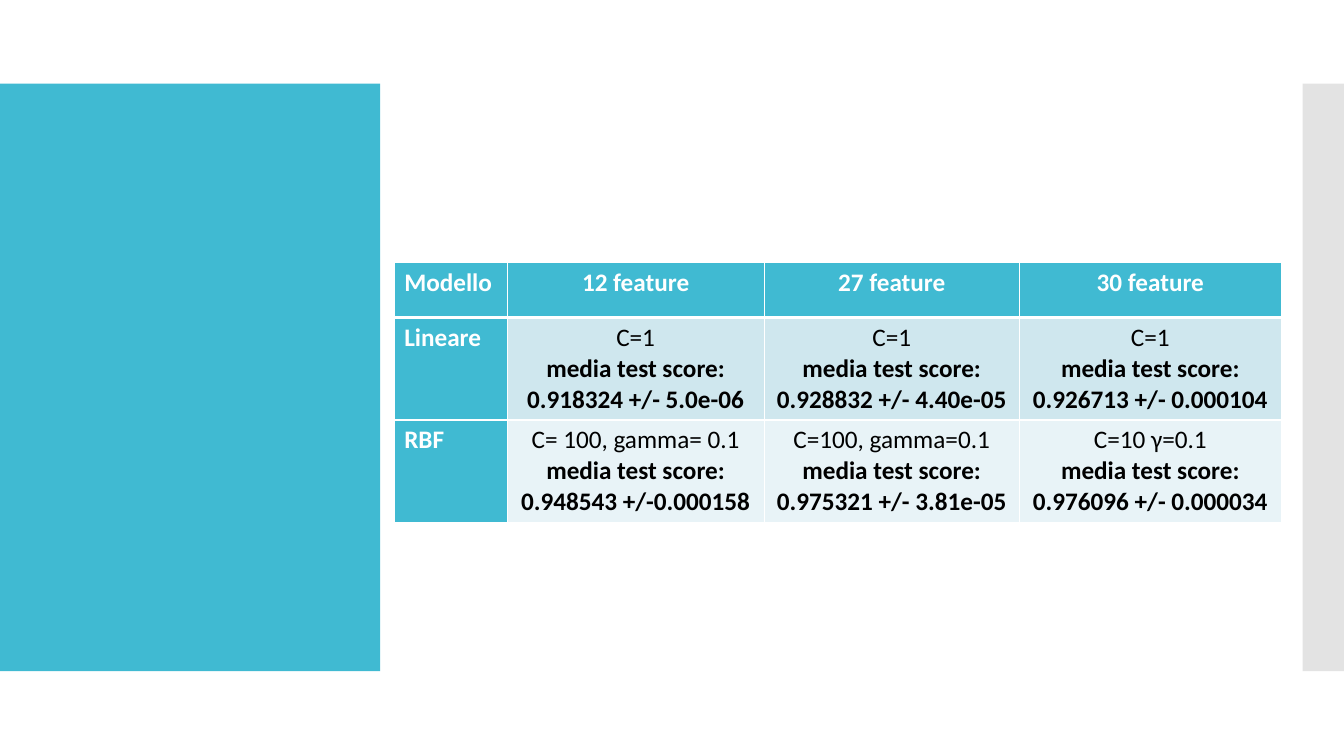
from dataclasses import dataclass

from lxml import etree
from pptx import Presentation
from pptx.dml.color import RGBColor
from pptx.enum.shapes import MSO_SHAPE
from pptx.enum.text import PP_ALIGN
from pptx.oxml.ns import qn
from pptx.util import Inches, Pt

RECT = MSO_SHAPE.RECTANGLE
LEFT, CENTER = PP_ALIGN.LEFT, PP_ALIGN.CENTER
BLANK_LAYOUT = 6


@dataclass(frozen=True)
class Theme:
    accent: str = "40BAD2"
    grey: str = "C8C8C8"
    white: str = "FFFFFF"
    black: str = "000000"
    bands: tuple = ("CFE7EE", "E8F3F7")
    font: str = "Calibri"
    size: int = 18


theme = Theme()


def add_panel(slide, left, width, color):
    sp = slide.shapes.add_shape(RECT, Inches(left), Inches(0.83), Inches(width), Inches(5.83))
    sp.shadow.inherit = False
    sp.fill.solid()
    sp.fill.fore_color.rgb = RGBColor.from_string(color)
    sp.line.fill.background()
    return sp


def set_borders(cell, bottom):
    """Draw white cell edges, 1 pt wide except for the given bottom width."""
    tc_pr = cell._tc.get_or_add_tcPr()
    for side, width in (("L", 1), ("R", 1), ("T", 1), ("B", bottom)):
        ln = etree.SubElement(tc_pr, qn(f"a:ln{side}"), w=str(Pt(width)))
        fill = etree.SubElement(ln, qn("a:solidFill"))
        etree.SubElement(fill, qn("a:srgbClr"), val=theme.white)


prs = Presentation()
prs.slide_width, prs.slide_height = Inches(13.33), Inches(7.5)
slide = prs.slides.add_slide(prs.slide_layouts[BLANK_LAYOUT])

# Side panels
add_panel(slide, 0, 3.77, theme.accent)
edge_panel = add_panel(slide, 12.92, 0.41, theme.grey)
edge_color = edge_panel.fill._xPr.find(f".//{qn('a:srgbClr')}")
etree.SubElement(edge_color, qn("a:alpha"), val="50000")

# Model scores: parameters on the first line, mean test score below
SCORE_LABEL = "media test score:"
rows = [
    ["Modello", "12 feature", "27 feature", "30 feature"],
    ["Lineare",
     f"C=1\n{SCORE_LABEL}\n0.918324 +/- 5.0e-06",
     f"C=1\n{SCORE_LABEL}\n0.928832 +/- 4.40e-05",
     f"C=1\n{SCORE_LABEL}\n0.926713 +/- 0.000104"],
    ["RBF",
     f"C= 100, gamma= 0.1\n{SCORE_LABEL}\n0.948543 +/-0.000158",
     f"C=100, gamma=0.1\n{SCORE_LABEL}\n0.975321 +/- 3.81e-05",
     f"C=10 γ=0.1\n{SCORE_LABEL}\n0.976096 +/- 0.000034"],
]
col_widths = [1.12, 2.55, 2.53, 2.6]
row_heights = [0.55, 1.01, 1.01]

table = slide.shapes.add_table(
    len(rows), len(col_widths), Inches(3.91), Inches(2.6),
    Inches(sum(col_widths)), Inches(sum(row_heights))).table
table.first_col = True
for column, width in zip(table.columns, col_widths):
    column.width = Inches(width)
for row, height in zip(table.rows, row_heights):
    row.height = Inches(height)

for i, texts in enumerate(rows):
    for j, text in enumerate(texts):
        cell = table.cell(i, j)
        is_head = i == 0 or j == 0
        set_borders(cell, bottom=3 if i == 0 else 1)
        cell.fill.solid()
        cell.fill.fore_color.rgb = RGBColor.from_string(theme.accent if is_head else theme.bands[i - 1])
        cell.text_frame.text = text
        for n, p in enumerate(cell.text_frame.paragraphs):
            p.alignment = LEFT if j == 0 else CENTER
            p.font.name = theme.font
            p.font.size = Pt(theme.size)
            p.font.bold = is_head or n > 0
            p.font.color.rgb = RGBColor.from_string(theme.white if is_head else theme.black)

prs.save("out.pptx")
